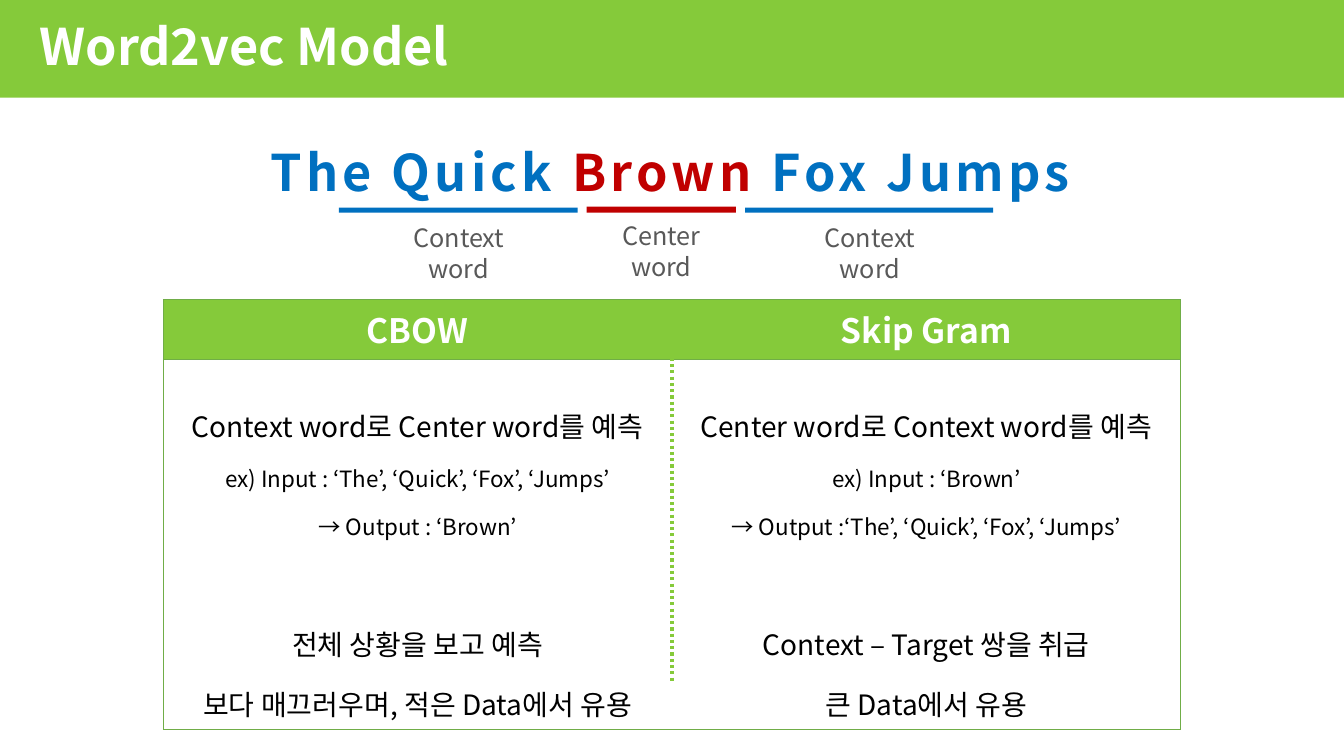
from dataclasses import dataclass

from lxml.etree import SubElement
from pptx import Presentation
from pptx.dml.color import RGBColor
from pptx.enum.dml import MSO_LINE
from pptx.enum.shapes import MSO_CONNECTOR, MSO_SHAPE
from pptx.enum.text import MSO_ANCHOR, PP_ALIGN
from pptx.oxml.ns import qn
from pptx.util import Inches, Pt

FONT = "Noto Sans CJK KR"
GREEN, BORDER, BLUE, RED = "85CA3A", "70AD47", "0070C0", "C00000"
WHITE, BLACK, GRAY = "FFFFFF", "000000", "595959"
NO_TABLE_STYLE = "{2D5ABB26-0587-4C30-8999-92F81FD0307C}"
SLIDE_WIDTH, SLIDE_HEIGHT = Inches(13.33), Inches(7.5)


@dataclass
class Box:
    """Position and size in percent of the slide."""
    left: float
    top: float
    width: float
    height: float

    def lengths(self) -> tuple[int, int, int, int]:
        return (across(self.left), down(self.top), across(self.width), down(self.height))


@dataclass
class WordGroup:
    """An underlined part of the sentence and its label."""
    label: str
    color: str
    underline: Box
    label_box: Box


@dataclass
class BodyLine:
    size: int
    line_spacing: float
    space_before: int = 0


@dataclass
class Method:
    name: str
    lines: list[str]


WORD_GROUPS = [
    WordGroup("Context word", BLUE, Box(25.21, 27.47, 17.78, 0.67), Box(28.66, 28.8, 10.95, 5.33)),
    WordGroup("Context word", BLUE, Box(55.44, 27.47, 18.45, 0.67), Box(59.26, 28.8, 10.95, 5.33)),
    WordGroup("Center word", RED, Box(43.66, 27.33, 11.1, 0.8), Box(43.66, 28.53, 11.1, 5.33)),
]
SENTENCE = [("The Quick ", BLUE), ("Brown ", RED), ("Fox Jumps", BLUE)]
BODY_LINES = [BodyLine(20, 2), BodyLine(16, 1.5), BodyLine(16, 1.5),
              BodyLine(20, 1.5, 43), BodyLine(20, 1.5)]
METHODS = [
    Method("CBOW", ["Context word로 Center word를 예측",
                    "ex) Input : ‘The’, ‘Quick’, ‘Fox’, ‘Jumps’",
                    "→ Output : ‘Brown’",
                    "전체 상황을 보고 예측",
                    "보다 매끄러우며, 적은 Data에서 유용"]),
    Method("Skip Gram", ["Center word로 Context word를 예측",
                         "ex) Input : ‘Brown’",
                         "→ Output :‘The’, ‘Quick’, ‘Fox’, ‘Jumps’",
                         "Context – Target 쌍을 취급",
                         "큰 Data에서 유용"]),
]


def across(percent: float) -> int:
    return round(SLIDE_WIDTH * percent / 100)


def down(percent: float) -> int:
    return round(SLIDE_HEIGHT * percent / 100)


def color(hex_string: str) -> RGBColor:
    return RGBColor.from_string(hex_string)


def format_font(font, size: int, hex_string: str, bold: bool = False) -> None:
    font.size, font.bold, font.name = Pt(size), bold, FONT
    font.color.rgb = color(hex_string)
    # East Asian text takes the same typeface
    properties = font._element
    east_asian = SubElement(properties, qn("a:ea"), typeface=FONT)
    properties.find(qn("a:latin")).addnext(east_asian)


def add_bar(slide, box: Box, fill: str) -> None:
    shape = slide.shapes.add_shape(MSO_SHAPE.RECTANGLE, *box.lengths())
    shape.shadow.inherit = False
    shape.fill.solid()
    shape.fill.fore_color.rgb = color(fill)
    shape.line.fill.background()


def add_centered_text(slide, box: Box):
    frame = slide.shapes.add_textbox(*box.lengths()).text_frame
    frame.word_wrap = True
    paragraph = frame.paragraphs[0]
    paragraph.alignment = PP_ALIGN.CENTER
    return paragraph


def add_title(slide, text: str) -> None:
    title = slide.shapes.title
    slide.shapes._spTree.append(title._element)  # in front of the bar
    title.left, title.top, title.width, title.height = Box(2.18, 0, 85.45, 12.93).lengths()
    title.text_frame.text = text
    title.text_frame.vertical_anchor = MSO_ANCHOR.MIDDLE
    paragraph = title.text_frame.paragraphs[0]
    paragraph.alignment = PP_ALIGN.LEFT
    paragraph.line_spacing = 0.9
    format_font(paragraph.font, 36, WHITE, bold=True)


def add_sentence(slide) -> None:
    paragraph = add_centered_text(slide, Box(12.15, 18, 75.47, 9.47))
    for text, hex_string in SENTENCE:
        run = paragraph.add_run()
        run.text = text
        format_font(run.font, 36, hex_string, bold=True)
        run.font._element.set("spc", "300")


def set_borders(cell, sides: str) -> None:
    properties = cell._tc.get_or_add_tcPr()
    for index, side in enumerate(sides):
        line = SubElement(properties, qn(f"a:ln{side}"), w=str(Pt(0.5)))
        fill = SubElement(line, qn("a:solidFill"))
        SubElement(fill, qn("a:srgbClr"), val=BORDER)
        properties.insert(index, line)


def add_method_table(slide) -> None:
    frame = slide.shapes.add_table(2, len(METHODS), *Box(12.15, 39.6, 75.7, 50.53).lengths())
    table = frame.table
    table._tbl.tblPr.find(qn("a:tableStyleId")).text = NO_TABLE_STYLE
    table.horz_banding = False
    table.rows[0].height, table.rows[1].height = down(7.87), down(42.66)

    for column, (method, side) in enumerate(zip(METHODS, "LR")):
        header, body = table.cell(0, column), table.cell(1, column)
        header.fill.solid()
        header.fill.fore_color.rgb = color(GREEN)
        header.text = method.name
        paragraph = header.text_frame.paragraphs[0]
        paragraph.alignment = PP_ALIGN.CENTER
        format_font(paragraph.font, 24, WHITE, bold=True)
        set_borders(header, side + "T")

        body.fill.background()
        body.text = "\n".join(method.lines)
        for paragraph, line in zip(body.text_frame.paragraphs, BODY_LINES):
            paragraph.alignment = PP_ALIGN.CENTER
            paragraph.line_spacing = line.line_spacing
            paragraph.space_before = Pt(line.space_before)
            format_font(paragraph.font, line.size, BLACK)
        set_borders(body, side + "TB")


def add_divider(slide) -> None:
    divider = slide.shapes.add_connector(
        MSO_CONNECTOR.STRAIGHT, across(50), down(47.33), across(50), down(90.27))
    divider.line.color.rgb = color(GREEN)
    divider.line.width = Pt(2.25)
    divider.line.dash_style = MSO_LINE.ROUND_DOT  # stored as sysDot
    SubElement(divider._element.spPr, qn("a:effectLst"))


def main() -> None:
    presentation = Presentation()
    presentation.slide_width, presentation.slide_height = SLIDE_WIDTH, SLIDE_HEIGHT
    slide = presentation.slides.add_slide(presentation.slide_layouts[5])

    # Heading
    add_bar(slide, Box(0, 0, 100, 12.93), GREEN)
    add_title(slide, "Word2vec Model")

    # Comparison and example sentence
    add_method_table(slide)
    add_sentence(slide)
    for group in WORD_GROUPS:
        add_bar(slide, group.underline, group.color)
        paragraph = add_centered_text(slide, group.label_box)
        paragraph.text = group.label
        format_font(paragraph.font, 18, GRAY)
    add_divider(slide)

    presentation.save("out.pptx")


if __name__ == "__main__":
    main()
